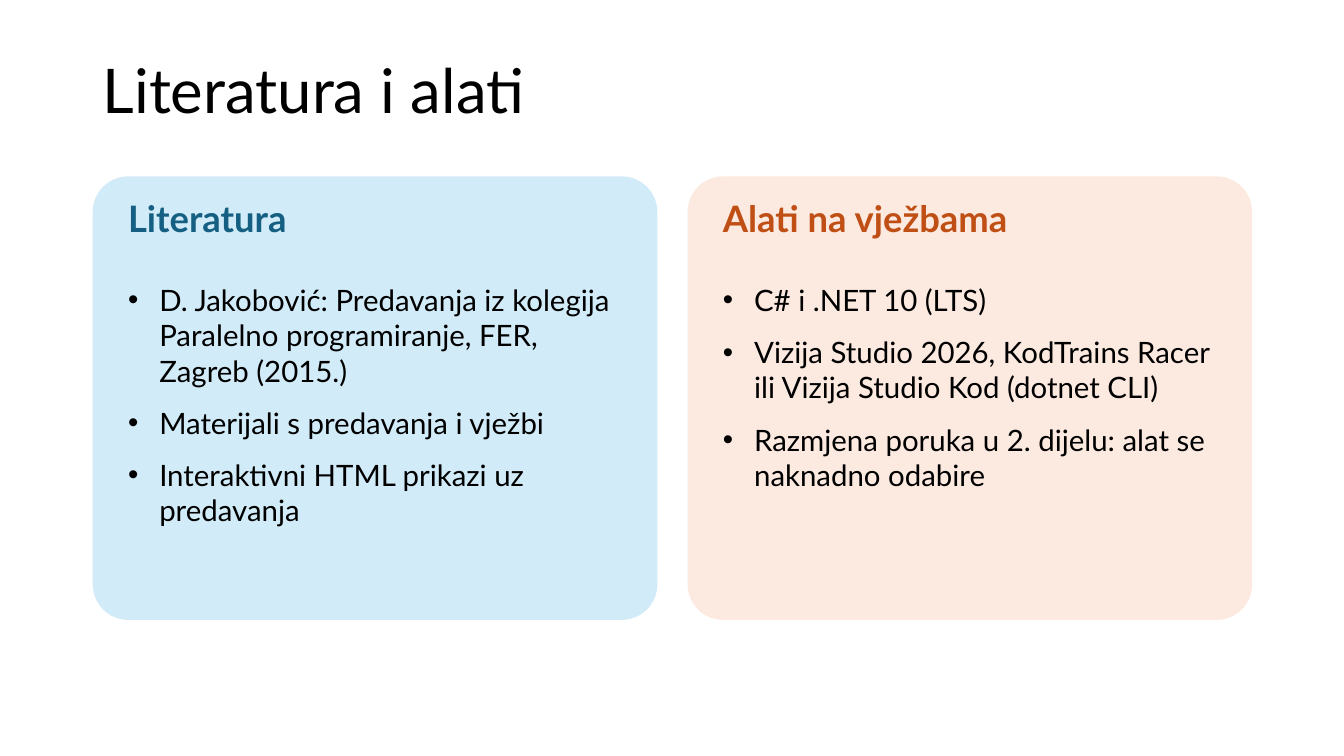
from dataclasses import dataclass

from lxml import etree
from pptx import Presentation
from pptx import util as u
from pptx.dml.color import RGBColor
from pptx.enum import shapes, text
from pptx.oxml.ns import qn


@dataclass(frozen=True)
class Theme:
    font: str = "Lato"
    ink: str = "000000"
    blue: str = "156082"
    pale_blue: str = "D1EBF8"
    orange: str = "C04F15"
    pale_orange: str = "FCEAE0"
    title_pt: int = 44
    heading_pt: int = 26
    body_pt: int = 21
    bullet_gap_pt: int = 12
    bullet_indent: float = 0.31


class Deck:
    """Places elements on a grid of 0.05 inch cells that starts at the left margin."""

    CELL, MARGIN = 0.05, 0.92
    CARD_WIDTH, GUTTER, PADDING = 112, 6, 7

    def __init__(self, prs, theme):
        self.theme = theme
        self.s = prs.slides.add_slide(prs.slide_layouts[6])

    def area(self, col, row, cols, rows):
        """Turn grid cells into left, top, width and height."""
        left = self.MARGIN + col * self.CELL
        return [u.Inches(left)] + [u.Inches(n * self.CELL) for n in (row, cols, rows)]

    def box(self, col, row, cols, rows, inset=True):
        tf = self.s.shapes.add_textbox(*self.area(col, row, cols, rows)).text_frame
        tf.word_wrap = True
        if not inset:
            tf.margin_left = tf.margin_right = tf.margin_top = tf.margin_bottom = 0
        return tf

    def run(self, p, words, size, color, bold=False):
        r = p.add_run()
        r.text = words
        r.font.name = self.theme.font
        r.font.size = u.Pt(size)
        r.font.bold = bold
        r.font.color.rgb = RGBColor.from_string(color)

    def title(self, words):
        tf = self.box(0, 8, 2 * self.CARD_WIDTH + self.GUTTER, 21.2)
        tf.vertical_anchor = text.MSO_ANCHOR.MIDDLE
        p = tf.paragraphs[0]
        p.line_spacing = 0.9
        self.run(p, words, self.theme.title_pt, self.theme.ink)

    def panel(self, col, fill):
        sp = self.s.shapes.add_shape(shapes.MSO_SHAPE.ROUNDED_RECTANGLE,
                                     *self.area(col, 35, self.CARD_WIDTH, 88))
        sp.adjustments[0] = 0.08
        sp.shadow.inherit = False
        sp.fill.solid()
        sp.fill.fore_color.rgb = RGBColor.from_string(fill)
        sp.line.fill.background()

    def bullets(self, tf, items):
        indent = u.Inches(self.theme.bullet_indent)
        for i, item in enumerate(items):
            p = tf.add_paragraph() if i else tf.paragraphs[0]
            p.space_after = u.Pt(self.theme.bullet_gap_pt)
            props = p._p.get_or_add_pPr()
            props.set("marL", str(indent))
            props.set("indent", str(-indent))
            etree.SubElement(props, qn("a:buFont")).set("typeface", "Arial")
            etree.SubElement(props, qn("a:buChar")).set("char", "•")
            self.run(p, item, self.theme.body_pt, self.theme.ink)

    def card(self, index, heading, items, color, fill):
        col = index * (self.CARD_WIDTH + self.GUTTER)
        self.panel(col, fill)
        col, cols = col + self.PADDING, self.CARD_WIDTH - 2 * self.PADDING
        tf = self.box(col, 39, cols, 12, inset=False)
        self.run(tf.paragraphs[0], heading, self.theme.heading_pt, color, bold=True)
        self.bullets(self.box(col, 56, cols, 64, inset=False), items)


def main():
    prs = Presentation()
    prs.slide_width, prs.slide_height = u.Inches(13.33), u.Inches(7.5)
    theme = Theme()
    deck = Deck(prs, theme)
    deck.title("Literatura i alati")
    deck.card(0, "Literatura", [
        "D. Jakobović: Predavanja iz kolegija Paralelno programiranje, FER, Zagreb (2015.)",
        "Materijali s predavanja i vježbi",
        "Interaktivni HTML prikazi uz predavanja",
    ], theme.blue, theme.pale_blue)
    deck.card(1, "Alati na vježbama", [
        "C# i .NET 10 (LTS)",
        "Vizija Studio 2026, KodTrains Racer ili Vizija Studio Kod (dotnet CLI)",
        "Razmjena poruka u 2. dijelu: alat se naknadno odabire",
    ], theme.orange, theme.pale_orange)
    prs.save("out.pptx")


if __name__ == "__main__":
    main()
